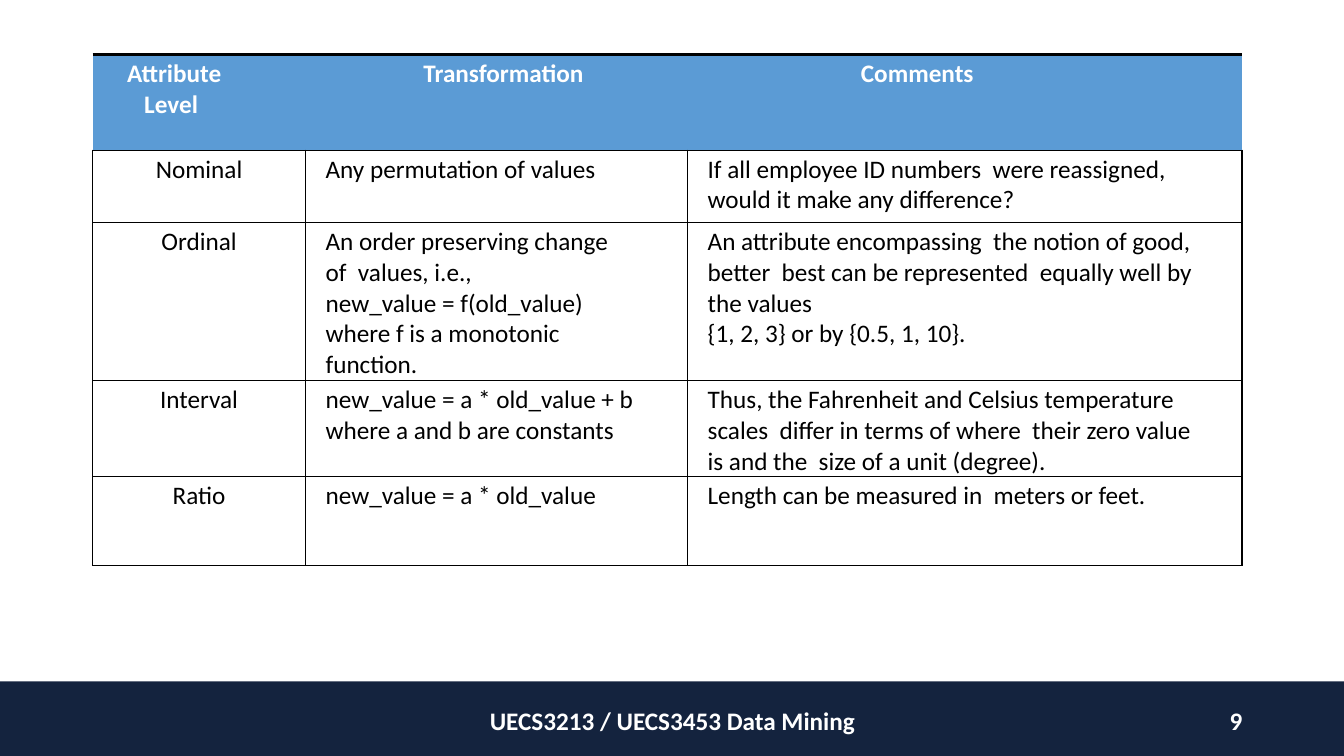
from dataclasses import dataclass

from lxml import etree
from pptx import Presentation
from pptx import util as u
from pptx.dml.color import RGBColor
from pptx.enum import shapes, text
from pptx.oxml import ns

WIDE, HIGH = u.Inches(13.33), u.Inches(7.5)
LEFT, MID, RIGHT = text.PP_ALIGN.LEFT, text.PP_ALIGN.CENTER, text.PP_ALIGN.RIGHT


@dataclass(frozen=True)
class Theme:
    font: str = "Calibri"
    size: float = 18
    navy: str = "14233E"
    blue: str = "5B9BD5"
    white: str = "FFFFFF"
    black: str = "000000"
    thin: float = 1
    thick: float = 2


@dataclass(frozen=True)
class Cell:
    """Text with its indents, given in percent of the slide's width."""
    words: str
    left: float = 1.5
    hang: float = 0
    right: float = 0
    align: text.PP_ALIGN = LEFT


@dataclass(frozen=True)
class Label:
    words: str
    left: float
    width: float
    align: text.PP_ALIGN


THEME = Theme()
COLS = (15.83, 28.43, 41.26)
ROWS = (12.67, 9.6, 17.07, 11.47, 11.73)
HEAD = (
    Cell("Attribute  Level", 3.83, -1.28, 3.75),
    Cell("Transformation", 8.78),
    Cell("Comments", 12.9),
)


def level(name: str, change: str, note: str, right: float = 0) -> tuple[Cell, ...]:
    """One body row; right narrows the text of the middle column."""
    return (Cell(name, 0, align=MID), Cell(change, right=right),
            Cell(note, right=3))


BODY = (
    level("Nominal", "Any permutation of values",
          "If all employee ID numbers  were reassigned, "
          "would it make any difference?"),
    level("Ordinal",
          "An order preserving change of  values, i.e.,\n"
          "new_value = f(old_value)\n"
          "where f is a monotonic function.",
          "An attribute encompassing  the notion of good, better  best "
          "can be represented  equally well by the values\n"
          "{1, 2, 3} or by {0.5, 1, 10}.", right=4.9),
    level("Interval",
          "new_value = a * old_value + b\nwhere a and b are constants",
          "Thus, the Fahrenheit and Celsius temperature scales  differ in "
          "terms of where  their zero value is and the  size of a unit "
          "(degree)."),
    level("Ratio", "new_value = a * old_value",
          "Length can be measured in  meters or feet."),
)
LABELS = (
    Label("9", 70.67, 22.5, RIGHT),
    Label("UECS3213 / UECS3453 Data Mining", 33.16, 33.76, MID),
)


def across(share: float) -> int:
    return round(WIDE * share / 100)


def down(share: float) -> int:
    return round(HIGH * share / 100)


def paint(frame, color: str, bold: bool, align: text.PP_ALIGN) -> None:
    for para in frame.paragraphs:
        para.alignment = align
        for run in para.runs:
            font = run.font
            font.name, font.size, font.bold = THEME.font, u.Pt(THEME.size), bold
            font.color.rgb = RGBColor.from_string(color)


def edge(cell, side: str, width: float) -> None:
    """Draw one cell border; a width of 0 hides it."""
    props = cell._tc.get_or_add_tcPr()
    line = etree.SubElement(props, ns.qn(f"a:ln{side}"), w=str(u.Pt(width)))
    if not width:
        etree.SubElement(line, ns.qn("a:noFill"))
        return
    fill = etree.SubElement(line, ns.qn("a:solidFill"))
    etree.SubElement(fill, ns.qn("a:srgbClr"), val=THEME.black)


def fill_cell(cell, data: Cell, head: bool) -> None:
    side = 0 if head else THEME.thin
    top = THEME.thick if head else THEME.thin
    for name, width in zip("LRTB", (side, side, top, THEME.thin)):
        edge(cell, name, width)
    cell.fill.solid()
    cell.fill.fore_color.rgb = RGBColor.from_string(
        THEME.blue if head else THEME.white)
    cell.margin_left = cell.margin_bottom = 0
    cell.margin_right = across(data.right)
    cell.margin_top = down(0.53)
    frame = cell.text_frame
    frame.text = data.words
    for para in frame.paragraphs:
        props = para._p.get_or_add_pPr()
        props.set("marL", str(across(data.left)))
        props.set("indent", str(across(data.hang)))
    paint(frame, THEME.white if head else THEME.black, head, data.align)


def add_grid(slide) -> None:
    grid = slide.shapes.add_table(
        len(ROWS), len(COLS), across(6.9), down(7.2),
        across(sum(COLS)), down(sum(ROWS))).table
    grid.horz_banding = False
    for col, share in zip(grid.columns, COLS):
        col.width = across(share)
    for row, share in zip(grid.rows, ROWS):
        row.height = down(share)
    for r, cells in enumerate((HEAD, *BODY)):
        for c, data in enumerate(cells):
            fill_cell(grid.cell(r, c), data, r == 0)


def add_bar(slide) -> None:
    bar = slide.shapes.add_shape(
        shapes.MSO_SHAPE.RECTANGLE, 0, down(90.13), WIDE, down(9.87))
    bar.shadow.inherit = False
    bar.fill.solid()
    bar.fill.fore_color.rgb = RGBColor.from_string(THEME.navy)
    bar.line.fill.background()


def add_label(slide, label: Label) -> None:
    frame = slide.shapes.add_textbox(
        across(label.left), down(92.67), across(label.width),
        down(5.33)).text_frame
    frame.word_wrap = True
    frame.vertical_anchor = text.MSO_ANCHOR.MIDDLE
    frame.text = label.words
    paint(frame, THEME.white, True, label.align)


def main() -> None:
    deck = Presentation()
    deck.slide_width, deck.slide_height = WIDE, HIGH
    slide = deck.slides.add_slide(deck.slide_layouts[6])
    add_bar(slide)
    add_grid(slide)
    for label in LABELS:
        add_label(slide, label)
    deck.save("out.pptx")


if __name__ == "__main__":
    main()
